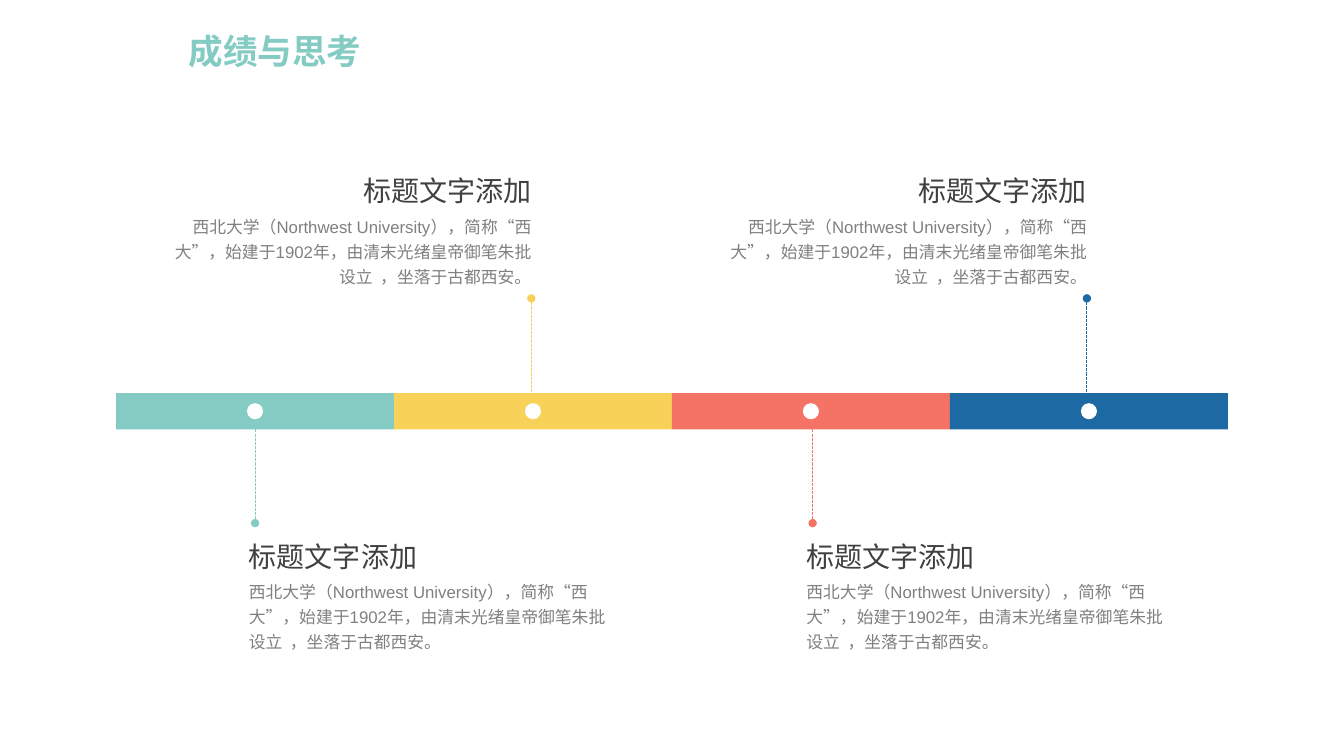
"""Build the four-stage timeline slide 成绩与思考."""
import pptx
import pptx.dml.color
import pptx.enum.dml
import pptx.enum.shapes
import pptx.enum.text
import pptx.oxml
import pptx.oxml.ns
import pptx.util

TITLE = "成绩与思考"
HEADING = "标题文字添加"
DETAIL = ("西北大学（Northwest University），简称“西大”，始建于1902年，"
          "由清末光绪皇帝御笔朱批设立  ，坐落于古都西安。")
COLORS = {"teal": "84CBC3", "yellow": "F8D158", "coral": "F57365", "blue": "1D69A3",
          "white": "FFFFFF", "heading": "404040", "detail": "808080"}
STAGES = [
    {"color": "teal", "side": "below", "stalk": 2.53},
    {"color": "yellow", "side": "above", "stalk": 5.27},
    {"color": "coral", "side": "below", "stalk": 8.06},
    {"color": "blue", "side": "above", "stalk": 10.78},
]
SIDES = {
    "above": {"stalk": (3.89, 2.96), "heading": 1.67, "detail": 2.05, "align": "RIGHT"},
    "below": {"stalk": (4.26, 5.19), "heading": 5.3, "detail": 5.67, "align": "LEFT"},
}
CJK_FONT, LATIN_FONT = "Noto Sans CJK SC", "Arial"
SLIDE_WIDTH, SLIDE_HEIGHT = 13.33, 7.5
BAR_TOP, BAR_HEIGHT, SEGMENT_WIDTH, DOT = 3.9, 0.36, 2.757, 0.16
BAR_LEFT = (SLIDE_WIDTH - len(STAGES) * SEGMENT_WIDTH) / 2

inches = pptx.util.Inches
SHAPES = pptx.enum.shapes.MSO_SHAPE


def color_of(name):
    return pptx.dml.color.RGBColor.from_string(COLORS[name])


def place(shape, left, top, width, height):
    shape.left, shape.top = inches(left), inches(top)
    shape.width, shape.height = inches(width), inches(height)


def write(box, text, size, font, color, align="LEFT", bold=False, spacing=1.0):
    frame = box.text_frame
    frame.word_wrap = True
    frame.auto_size = pptx.enum.text.MSO_AUTO_SIZE.NONE
    frame.vertical_anchor = pptx.enum.text.MSO_ANCHOR.TOP
    para = frame.paragraphs[0]
    para.alignment = getattr(pptx.enum.text.PP_ALIGN, align)
    para.line_spacing = spacing
    span = para.add_run()
    span.text = text
    span.font.size = pptx.util.Pt(size)
    span.font.name = font
    span.font.bold = bold
    span.font.color.rgb = color_of(color)
    east_asian = pptx.oxml.parse_xml(
        f'<a:ea {pptx.oxml.ns.nsdecls("a")} typeface="{CJK_FONT}"/>')
    span.font._element.find(pptx.oxml.ns.qn("a:latin")).addnext(east_asian)


def add_text(page, left, top, width, height, *style, **options):
    box = page.shapes.add_textbox(*map(inches, (left, top, width, height)))
    write(box, *style, **options)


def add_solid(page, kind, color, left, top, width, height):
    shape = page.shapes.add_shape(kind, *map(inches, (left, top, width, height)))
    shape.shadow.inherit = False
    shape.fill.solid()
    shape.fill.fore_color.rgb = color_of(color)
    shape.line.fill.background()


def add_stalk(page, x, start, end, color):
    stalk = page.shapes.add_connector(
        pptx.enum.shapes.MSO_CONNECTOR.STRAIGHT, *map(inches, (x, start, x, end)))
    stalk.line.color.rgb = color_of(color)
    stalk.line.width = pptx.util.Pt(0.75)
    stalk.line.dash_style = pptx.enum.dml.MSO_LINE.SQUARE_DOT
    namespace = pptx.oxml.ns.nsdecls("a")
    properties = stalk._element.spPr
    properties.find(pptx.oxml.ns.qn("a:ln")).append(
        pptx.oxml.parse_xml(f'<a:tailEnd {namespace} type="oval"/>'))
    properties.append(pptx.oxml.parse_xml(f'<a:effectLst {namespace}/>'))


def add_stage(page, index, stage):
    side = SIDES[stage["side"]]
    left = BAR_LEFT + index * SEGMENT_WIDTH
    add_solid(page, SHAPES.RECTANGLE, stage["color"],
              left, BAR_TOP, SEGMENT_WIDTH, BAR_HEIGHT)
    add_solid(page, SHAPES.OVAL, "white", left + (SEGMENT_WIDTH - DOT) / 2,
              BAR_TOP + (BAR_HEIGHT - DOT) / 2, DOT, DOT)
    add_stalk(page, stage["stalk"], *side["stalk"], stage["color"])
    texts = [
        (2.67, 0.44, side["heading"], HEADING, 20, CJK_FONT, "heading", 1.0),
        (3.88, 0.86, side["detail"], DETAIL, 12, LATIN_FONT, "detail", 1.25),
    ]
    for width, height, top, text, size, font, color, spacing in texts:
        if side["align"] == "RIGHT":
            text_left = stage["stalk"] + 0.1 - width
        else:
            text_left = stage["stalk"] - 0.16
        add_text(page, text_left, top, width, height, text, size, font, color,
                 align=side["align"], spacing=spacing)


def main():
    deck = pptx.Presentation()
    deck.slide_width, deck.slide_height = inches(SLIDE_WIDTH), inches(SLIDE_HEIGHT)
    page = deck.slides.add_slide(deck.slide_layouts[5])
    title = page.shapes.title
    place(title, 1.77, 0.25, 2.05, 0.64)
    write(title, TITLE, 24.7, CJK_FONT, "teal", bold=True)
    for index, stage in enumerate(STAGES):
        add_stage(page, index, stage)
    deck.save("out.pptx")


if __name__ == "__main__":
    main()
